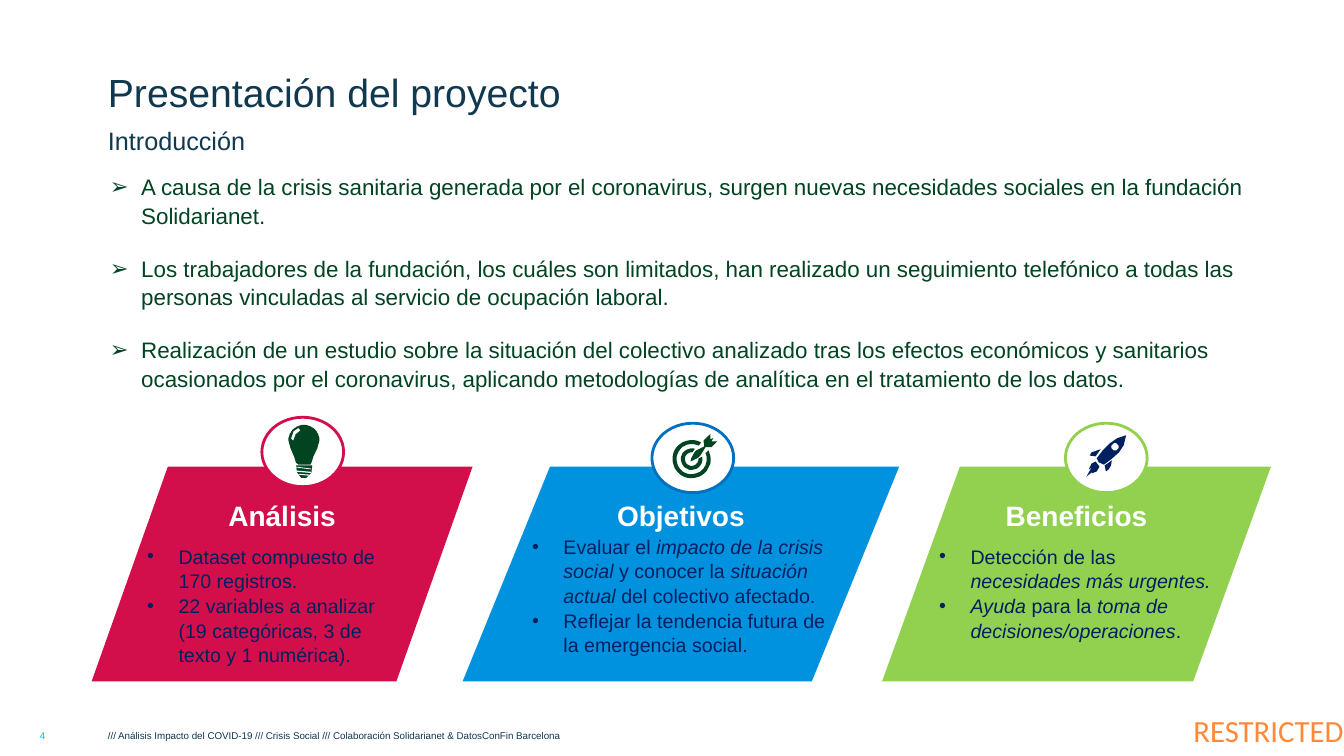
from math import cos, radians, sin

from lxml import etree
from pptx import Presentation
from pptx import util as u
from pptx.dml.color import RGBColor
from pptx.enum import shapes, text
from pptx.oxml.ns import qn

COLOURS = {
    "navy": "10384F", "green": "004422", "ink": "002060", "white": "FFFFFF",
    "orange": "FF8939", "cyan": "00BCFF", "crimson": "D30F4B",
    "blue": "0091DF", "deep_blue": "0070C0", "lime": "92D050",
}
ALIGN = text.PP_ALIGN
ANCHOR = text.MSO_ANCHOR

INTRODUCTION = [
    "A causa de la crisis sanitaria generada por el coronavirus, surgen nuevas "
    "necesidades sociales en la fundación Solidarianet.",
    "Los trabajadores de la fundación, los cuáles son limitados, han realizado un "
    "seguimiento telefónico a todas las personas vinculadas al servicio de ocupación laboral.",
    "Realización de un estudio sobre la situación del colectivo analizado tras los efectos "
    "económicos y sanitarios ocasionados por el coronavirus, aplicando metodologías de "
    "analítica en el tratamiento de los datos.",
]
FOOTER = ("/// Análisis Impacto del COVID-19 /// Crisis Social /// "
          "Colaboración Solidarianet & DatosConFin Barcelona")


def arc(x, y, radius, start, end, steps=40):
    """Points along a circle; angles in degrees, clockwise from the right."""
    angles = [radians(start + (end - start) * i / steps) for i in range(steps + 1)]
    return [(x + radius * cos(a), y + radius * sin(a)) for a in angles]


def open_ring(outer, inner, outer_gap, inner_gap):
    """Ring of the target, each gap being the (lower, upper) angle of its edge."""
    return (arc(-3, 3, outer, outer_gap[0], 360 + outer_gap[1])
            + arc(-3, 3, inner, 360 + inner_gap[1], inner_gap[0]))


# Icon outlines: (colour, points), in hundredths of a centimetre from the badge centre
BULB = [
    ("green", arc(3, -29, 39, 180, 360)
     + [(37, -10), (27, 11), (22, 27), (19, 32), (-11, 32), (-17, 27), (-22, 11), (-31, -10)]),
    ("green", [(-17, 34), (-14, 52), (-4, 65), (9, 65), (22, 52), (24, 34)]),
    ("white", [(-17, 37), (-17, 39), (22, 44), (22, 42)]),
    ("white", [(-14, 47), (-14, 50), (22, 53), (22, 50)]),
    ("white", [(-13, 55), (-11, 57), (17, 60), (17, 57)]),
    ("white", [(-22, -34), (-18, -45), (-9, -52), (-6, -55), (-11, -60), (-23, -52),
               (-29, -34), (-24, -29)]),
]
TARGET = [
    ("green", open_ring(27, 17, (-13, -72), (-5, -82))),
    ("green", open_ring(48, 38, (-27, -60), (-24, -62))),
    ("green", [(62, -42), (47, -42), (52, -50), (44, -47), (44, -60), (27, -44), (29, -29),
               (9, -19), (4, -14), (-4, 1), (-6, 9), (1, 6), (14, -1), (19, -6), (32, -27),
               (47, -27)]),
]
ROCKET = [
    ("ink", [(-50, 47), (-34, 34), (-37, 39), (-24, 34), (-17, 22), (-27, 9), (-37, 14),
             (-44, 29), (-37, 24)]),
    ("ink", [(50, -57), (28, -50), (9, -37), (-9, -19), (-24, 1), (-19, 11), (-6, 17),
             (14, 2), (32, -14), (44, -32)]),
    ("white", arc(22, -28, 9, 0, 360)),
    ("ink", [(14, 6), (-4, 19), (-1, 34), (6, 29), (12, 19)]),
    ("ink", [(-37, -14), (-42, -6), (-27, -4), (-14, -22)]),
]

# Asterisks enclose words in italics
CARDS = [
    dict(heading="Análisis", fill="crimson", left=2.31, width=9.6,
         list_box=(3.71, 13.69, 6.5, 3.51),
         points=["Dataset compuesto de 170 registros.",
                 "22 variables a analizar (19 categóricas, 3 de texto y 1 numérica)."],
         rim="crimson", centre=(7.63, 11.39), icon=BULB),
    dict(heading="Objetivos", fill="blue", left=11.66, width=11,
         list_box=(13.41, 13.44, 7.54, 3.51),
         points=["Evaluar el *impacto de la crisis social* y conocer la "
                 "*situación actual *del colectivo afectado.",
                 "Reflejar la tendencia futura de la emergencia social."],
         rim="deep_blue", centre=(17.46, 11.54), icon=TARGET),
    dict(heading="Beneficios", fill="lime", left=22.23, width=9.8,
         list_box=(23.67, 13.69, 7.01, 3.51),
         points=["Detección de las *necesidades más urgentes.*",
                 "*Ayuda* para la *toma de decisiones/operaciones*."],
         rim="lime", centre=(27.88, 11.54), icon=ROCKET),
]


def rgb(name):
    return RGBColor.from_string(COLOURS[name])


def cms(values):
    return [u.Cm(value) for value in values]


def style(run, size, colour, font="Arial"):
    run.font.size = u.Pt(size)
    run.font.name = font
    run.font.color.rgb = rgb(colour)


def add_frame(slide, box, anchor=ANCHOR.TOP):
    frame = slide.shapes.add_textbox(*cms(box)).text_frame
    frame.word_wrap = True
    frame.vertical_anchor = anchor
    frame.margin_left = frame.margin_right = frame.margin_top = frame.margin_bottom = 0
    return frame


def add_label(slide, box, words, size, colour, align=ALIGN.LEFT, anchor=ANCHOR.TOP, font="Arial"):
    frame = add_frame(slide, box, anchor)
    frame.text = words
    frame.paragraphs[0].alignment = align
    style(frame.paragraphs[0].runs[0], size, colour, font)


def set_bullet(paragraph, mark):
    properties = paragraph._p.get_or_add_pPr()
    properties.set("marL", str(u.Cm(0.79)))
    properties.set("indent", str(-u.Cm(0.79)))
    etree.SubElement(properties, qn("a:buFont")).set("typeface", "Arial")
    etree.SubElement(properties, qn("a:buChar")).set("char", mark)


def add_bullets(slide, box, points, mark, size, colour, gap=0):
    frame = add_frame(slide, box)
    for i, point in enumerate(points):
        paragraph = frame.add_paragraph() if i else frame.paragraphs[0]
        paragraph.line_spacing = 1.05
        paragraph.space_after = u.Pt(gap)
        set_bullet(paragraph, mark)
        for j, piece in enumerate(point.split("*")):
            if piece:
                run = paragraph.add_run()
                run.text = piece
                style(run, size, colour)
                run.font.italic = j % 2 == 1


def paint(shape, fill, line=None):
    shape.shadow.inherit = False
    shape.fill.solid()
    shape.fill.fore_color.rgb = rgb(fill)
    if line:
        shape.line.color.rgb = rgb(line)
        shape.line.width = u.Pt(2)
    else:
        shape.line.fill.background()


def add_panel(slide, card):
    panel = slide.shapes.add_shape(shapes.MSO_SHAPE.FLOWCHART_DATA,
                                   *cms((card["left"], 11.76, card["width"], 5.41)))
    paint(panel, card["fill"])
    frame = panel.text_frame
    frame.vertical_anchor = ANCHOR.TOP
    frame.margin_top = u.Cm(0.8)
    frame.text = card["heading"]
    frame.paragraphs[0].alignment = ALIGN.CENTER
    heading = frame.paragraphs[0].runs[0]
    style(heading, 20, "white")
    heading.font.bold = True


def add_badge(slide, centre, rim, icon):
    x, y = centre
    width, height = 2.06, 1.75
    badge = slide.shapes.add_shape(shapes.MSO_SHAPE.OVAL,
                                   *cms((x - width / 2, y - height / 2, width, height)))
    paint(badge, "white", rim)
    for colour, outline in icon:
        builder = slide.shapes.build_freeform(*outline[0], scale=u.Cm(0.01))
        builder.add_line_segments(outline[1:], close=True)
        paint(builder.convert_to_shape(u.Cm(x), u.Cm(y)), colour)


def main():
    deck = Presentation()
    deck.slide_width, deck.slide_height = cms((33.87, 19.05))
    slide = deck.slides.add_slide(deck.slide_layouts[6])

    add_label(slide, (28.65, 17.75, 5.21, 1.3), "RESTRICTED", 22, "orange",
              ALIGN.RIGHT, ANCHOR.MIDDLE, "Calibri")
    add_label(slide, (2.72, 0.51, 30, 2.39), "Presentación del proyecto", 28, "navy",
              anchor=ANCHOR.BOTTOM)
    add_label(slide, (2.72, 3.15, 30, 0.71), "Introducción", 18, "navy")
    add_bullets(slide, (2.77, 4.34, 30, 5.41), INTRODUCTION, "➢", 16, "green", gap=18)

    for card in CARDS:
        add_panel(slide, card)
        add_badge(slide, card["centre"], card["rim"], card["icon"])
        add_bullets(slide, card["list_box"], card["points"], "•", 14, "ink")

    add_label(slide, (2.72, 18.39, 24, 0.3), FOOTER, 7, "navy")
    add_label(slide, (0.53, 18.39, 1.09, 0.3), "4", 7, "cyan", ALIGN.CENTER)
    deck.save("out.pptx")


if __name__ == "__main__":
    main()
